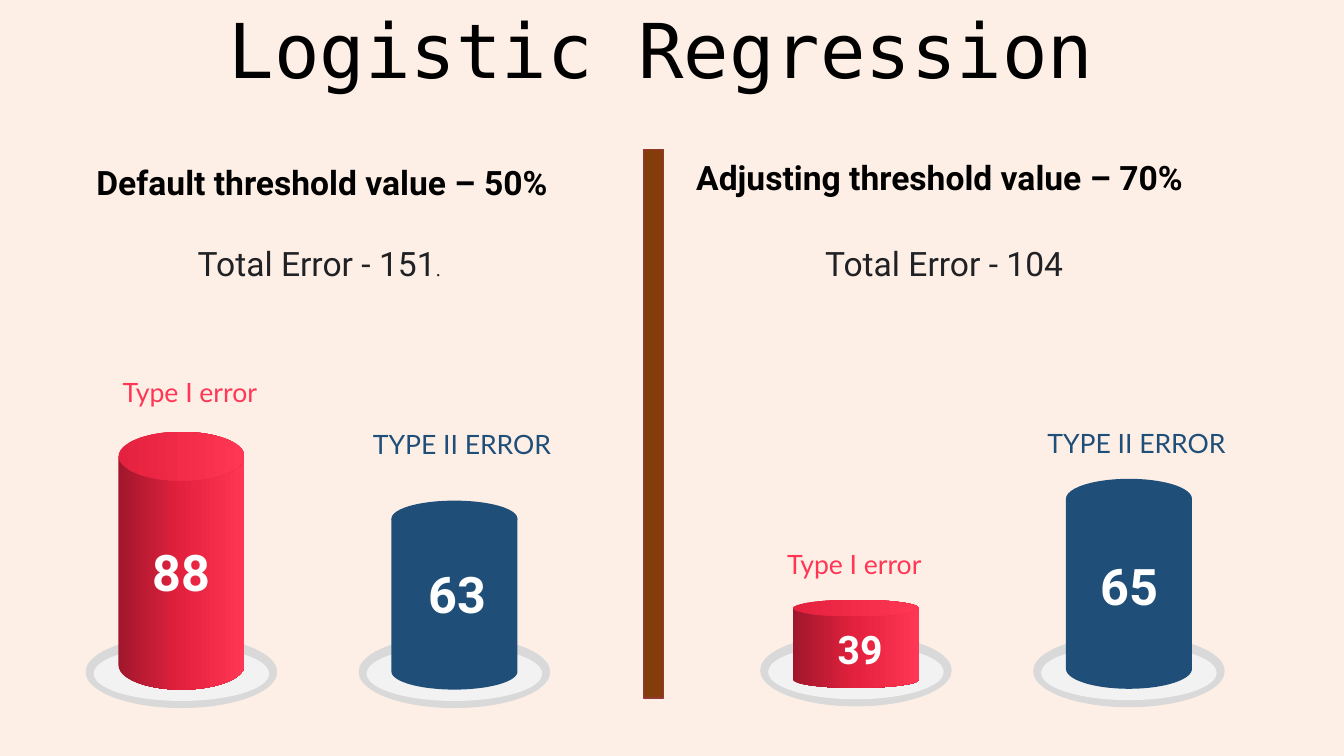
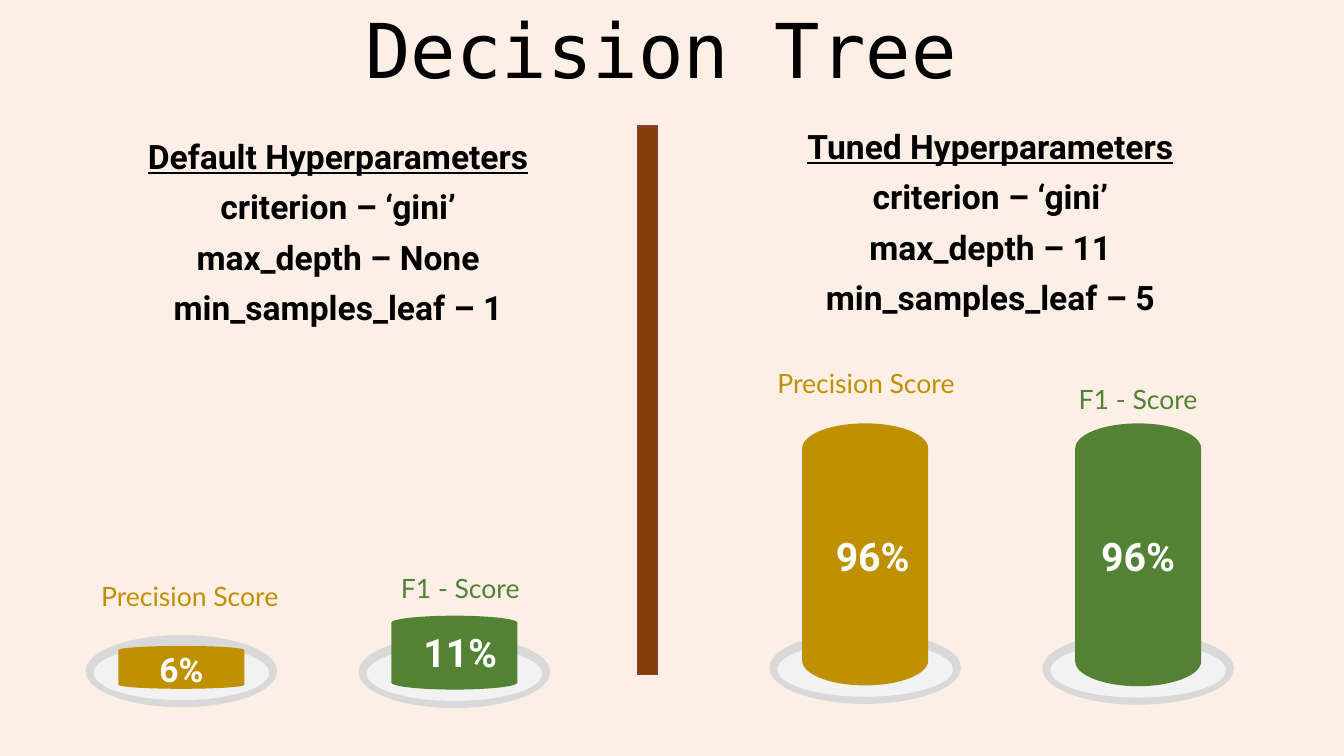
import copy
import math
from dataclasses import dataclass, replace

from pptx import Presentation
from pptx.dml.color import RGBColor
from pptx.enum import shapes, text
from pptx.util import Emu, Inches, Pt

COLUMNS, ROWS = 160, 90
CELL = Inches(7.5) / ROWS
COLOURS = {
    "background": "FDEFE6", "black": "000000", "total": "202124", "white": "FFFFFF",
    "plate_rim": "D9D9D9", "plate": "F2F2F2", "divider": "843C0B", "divider_edge": "953735",
    "red_dark": "A0172C", "red_mid": "E4213E", "red": "FF3654",
    "blue": "1F4E79", "gold": "BF9000", "green": "548235",
}
GRADIENTS = {"red": (("red_dark", "red_mid", "red"), ("red_mid", "red"))}
CYLINDER_WIDTH = 15
RIM_SHARE = 0.19
CURVE_STEPS = 48


@dataclass(frozen=True)
class Box:
    left: float
    top: float
    width: float
    height: float

    @classmethod
    def around(cls, x: float, y: float, width: float, height: float) -> "Box":
        return cls(x - width / 2, y - height / 2, width, height)

    def lengths(self) -> tuple[Emu, ...]:
        return tuple(cells(n) for n in (self.left, self.top, self.width, self.height))


@dataclass(frozen=True)
class Style:
    font: str
    size: int
    colour: str
    bold: bool = False
    spacing: float = 1.0
    before: int = 0
    centred: bool = True
    anchor: text.MSO_ANCHOR = text.MSO_ANCHOR.MIDDLE
    margins: bool = True


@dataclass(frozen=True)
class Point:
    x: float
    y: float


@dataclass(frozen=True)
class Cylinder:
    label: str
    value: str
    colour: str
    base: Point
    top: float
    label_at: Point
    value_at: Point
    value_size: int = 28


@dataclass(frozen=True)
class TextBlock:
    box: Box
    lines: tuple[str, ...]
    style: Style
    underline_first: bool = False
    small_end: str = ""


@dataclass(frozen=True)
class Comparison:
    title: str
    divider: Box
    blocks: tuple[TextBlock, ...]
    cylinders: tuple[Cylinder, ...]


TITLE = Style("DejaVu Sans Mono", 54, "black", spacing=0.9)
THRESHOLD = Style("Roboto", 24, "black", bold=True, spacing=0.8, before=10,
                  centred=False, anchor=text.MSO_ANCHOR.BOTTOM)
PARAMETERS = replace(THRESHOLD, spacing=0.9, centred=True)
TOTAL = Style("Roboto", 24, "total", spacing=2.0, anchor=text.MSO_ANCHOR.TOP)
LABEL = Style("Lato", 19, "black", margins=False)
VALUE = Style("Roboto", 28, "white", bold=True, margins=False)

COMPARISONS = (
    Comparison(
        "Logistic Regression",
        Box(76.6, 17.8, 2.4, 65.3),
        (
            TextBlock(Box(10.3, 19.3, 67.7, 5.3), ("Default threshold value – 50%",), THRESHOLD),
            TextBlock(Box(81.7, 13.3, 68, 10.8), ("Adjusting threshold value – 70%",), THRESHOLD),
            TextBlock(Box(0, 23.5, 76, 9.4), ("Total Error - 151",), TOTAL, small_end="."),
            TextBlock(Box(78.4, 23.5, 68, 9.4), ("Total Error - 104",), TOTAL),
        ),
        (
            Cylinder("Type I error", "88", "red", Point(21.6, 80), 51.4,
                     Point(22.6, 46.7), Point(21.6, 68), 36),
            Cylinder("TYPE II ERROR", "63", "blue", Point(54.1, 80), 59.6,
                     Point(55, 52.9), Point(54.5, 70.6), 36),
            Cylinder("Type I error", "39", "red", Point(101.9, 79.8), 71.4,
                     Point(101.7, 67.1), Point(102.4, 77.3)),
            Cylinder("TYPE II ERROR", "65", "blue", Point(134.4, 79.9), 57,
                     Point(135.3, 52.7), Point(134.5, 69.7), 36),
        ),
    ),
    Comparison(
        "Decision Tree",
        Box(75.9, 15, 2.4, 65.3),
        (
            TextBlock(Box(6.4, 16.1, 67.7, 23.5),
                      ("Default Hyperparameters", "criterion – ‘gini’",
                       "max_depth – None", "min_samples_leaf – 1"), PARAMETERS, True),
            TextBlock(Box(83.9, 14.9, 68, 23.5),
                      ("Tuned Hyperparameters", "criterion – ‘gini’",
                       "max_depth – 11", "min_samples_leaf – 5"), PARAMETERS, True),
        ),
        (
            Cylinder("Precision Score", "6%", "gold", Point(21.6, 79.9), 76.9,
                     Point(22.6, 70.9), Point(21.6, 79.6), 24),
            Cylinder("F1 - Score", "11%", "green", Point(54.1, 80), 73.3,
                     Point(54.8, 70), Point(54.8, 77.6)),
            Cylinder("Precision Score", "96%", "gold", Point(103, 79.5), 50.4,
                     Point(103.1, 45.6), Point(103.9, 66.2)),
            Cylinder("F1 - Score", "96%", "green", Point(135.5, 79.6), 50.4,
                     Point(135.5, 47.5), Point(135.5, 66.2)),
        ),
    ),
)


def cells(count: float) -> Emu:
    return Emu(round(count * CELL))


def rgb(name: str) -> RGBColor:
    return RGBColor.from_string(COLOURS[name])


def paint(shape, colours: tuple[str, ...]) -> None:
    shape.shadow.inherit = False
    shape.line.fill.background()
    if len(colours) == 1:
        shape.fill.solid()
        shape.fill.fore_color.rgb = rgb(colours[0])
        return
    shape.fill.gradient()
    shape.fill.gradient_angle = 0
    stop_list = shape._element.xpath(".//a:gsLst")[0]
    for _ in colours[2:]:
        stop_list.append(copy.deepcopy(stop_list[-1]))
    for index, (stop, colour) in enumerate(zip(shape.fill.gradient_stops, colours)):
        stop.position = index / (len(colours) - 1)
        stop.color.rgb = rgb(colour)


def add_text(slide, block: TextBlock) -> None:
    style = block.style
    frame = slide.shapes.add_textbox(*block.box.lengths()).text_frame
    frame.word_wrap = True
    frame.vertical_anchor = style.anchor
    if not style.margins:
        frame.margin_left = frame.margin_right = frame.margin_top = frame.margin_bottom = 0
    frame.text = "\n".join(block.lines)
    for index, paragraph in enumerate(frame.paragraphs):
        paragraph.alignment = text.PP_ALIGN.CENTER if style.centred else text.PP_ALIGN.LEFT
        paragraph.line_spacing = style.spacing
        paragraph.space_before = Pt(style.before)
        font = paragraph.font
        font.name, font.size, font.bold = style.font, Pt(style.size), style.bold
        font.color.rgb = rgb(style.colour)
        font.underline = block.underline_first and index == 0
    if block.small_end:
        run = frame.paragraphs[-1].add_run()
        run.text = block.small_end
        run.font.name, run.font.size = "Times New Roman", Pt(14)


def add_ellipse(slide, box: Box, colours: tuple[str, ...]) -> None:
    paint(slide.shapes.add_shape(shapes.MSO_SHAPE.OVAL, *box.lengths()), colours)


def add_cylinder(slide, cylinder: Cylinder) -> None:
    x, y = cylinder.base.x, cylinder.base.y
    add_ellipse(slide, Box.around(x, y, 22.8, 8.6), ("plate_rim",))
    add_ellipse(slide, Box.around(x, y + 0.2, 20.9, 6.5), ("plate",))

    bottom = y + 2.1
    rim = RIM_SHARE * (bottom - cylinder.top)
    radius = CYLINDER_WIDTH / 2
    shoulder = cylinder.top + rim / 2
    angles = [math.pi * step / CURVE_STEPS for step in range(CURVE_STEPS + 1)]
    curve = [(x + radius * math.cos(angle), bottom - rim / 2 * (1 - math.sin(angle)))
             for angle in angles]
    outline = [(x + radius, shoulder), *curve, (x - radius, shoulder)]
    points = [(cells(across), cells(down)) for across, down in outline]
    builder = slide.shapes.build_freeform(*points[0], scale=1.0)
    builder.add_line_segments(points[1:], close=True)
    side, lid = GRADIENTS.get(cylinder.colour, ((cylinder.colour,), (cylinder.colour,)))
    paint(builder.convert_to_shape(), side)
    add_ellipse(slide, Box.around(x, shoulder, CYLINDER_WIDTH, rim), lid)

    for words, place, style in (
        (cylinder.label, cylinder.label_at, replace(LABEL, colour=cylinder.colour)),
        (cylinder.value, cylinder.value_at, replace(VALUE, size=cylinder.value_size)),
    ):
        add_text(slide, TextBlock(Box.around(place.x, place.y, 24, 6), (words,), style))


def add_divider(slide, box: Box) -> None:
    divider = slide.shapes.add_shape(shapes.MSO_SHAPE.RECTANGLE, *box.lengths())
    paint(divider, ("divider",))
    divider.line.color.rgb = rgb("divider_edge")
    divider.line.width = Pt(1)


def add_comparison(presentation, comparison: Comparison) -> None:
    slide = presentation.slides.add_slide(presentation.slide_layouts[6])
    slide.background.fill.solid()
    slide.background.fill.fore_color.rgb = rgb("background")
    add_text(slide, TextBlock(Box(9.7, 0.1, 138, 12.7), (comparison.title,), TITLE))
    for block in comparison.blocks:
        add_text(slide, block)
    for cylinder in comparison.cylinders:
        add_cylinder(slide, cylinder)
    add_divider(slide, comparison.divider)


def main() -> None:
    presentation = Presentation()
    presentation.slide_width = cells(COLUMNS)
    presentation.slide_height = cells(ROWS)
    for comparison in COMPARISONS:
        add_comparison(presentation, comparison)
    presentation.save("out.pptx")


if __name__ == "__main__":
    main()
